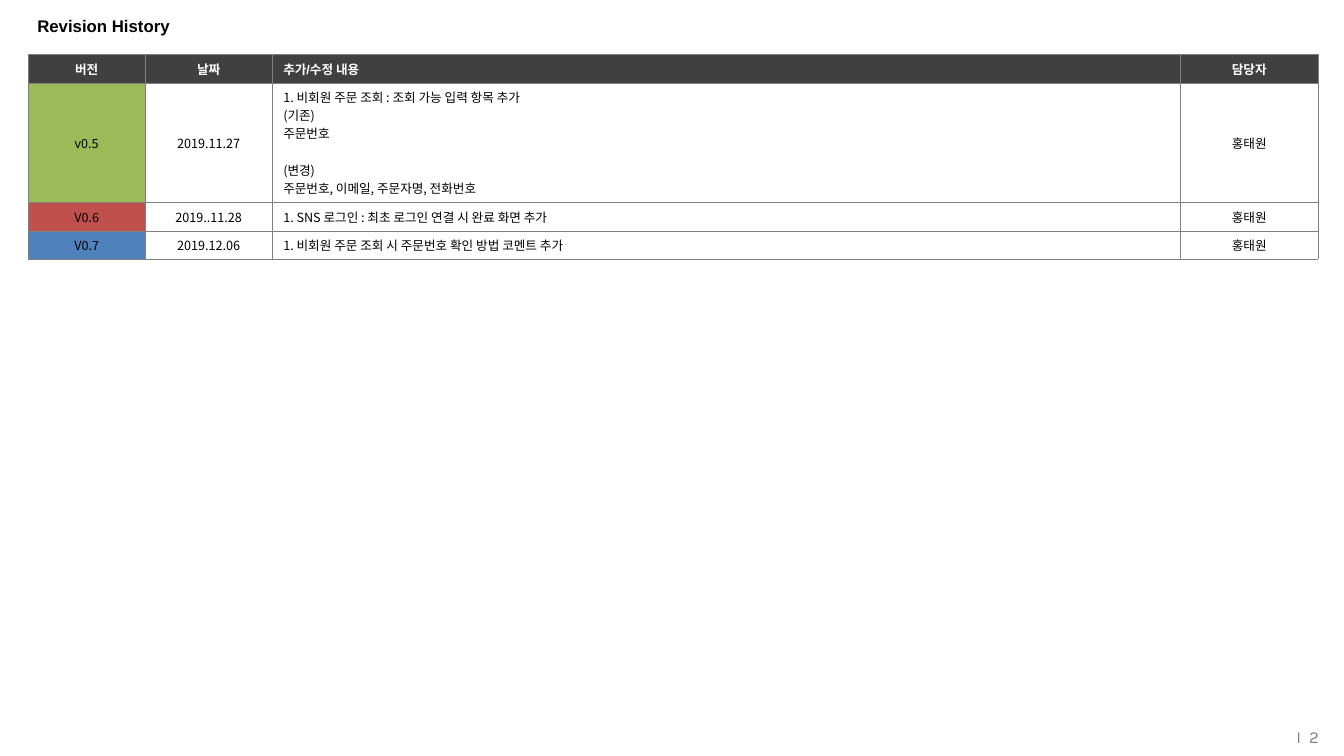
from dataclasses import dataclass

from lxml.etree import SubElement
from pptx import Presentation
from pptx.dml.color import RGBColor as RGB
from pptx.enum.text import MSO_ANCHOR as Anchor, PP_ALIGN as Align
from pptx.oxml.ns import qn
from pptx.util import Inches, Pt

TITLE = "Revision History"
PAGE = "I  2"
HEADER = ("버전", "날짜", "추가/수정 내용", "담당자")
# version, date, blocks of change lines, person in charge
REVISIONS = [
    ("v0.5", "2019.11.27",
     [["1. 비회원 주문 조회 : 조회 가능 입력 항목 추가", "(기존)", "주문번호"],
      ["(변경)", "주문번호, 이메일, 주문자명, 전화번호"]], "홍태원"),
    ("V0.6", "2019..11.28",
     [["1. SNS 로그인 : 최초 로그인 연결 시 완료 화면 추가"]], "홍태원"),
    ("V0.7", "2019.12.06",
     [["1. 비회원 주문 조회 시 주문번호 확인 방법 코멘트 추가"]], "홍태원"),
]
COLUMNS = (1.16, 1.26, 9.01, 1.36)
ROWS = (0.28, 1.19, 0.28, 0.28)
LEFT, TABLE_TOP, WIDTH = 0.28, 0.54, sum(COLUMNS)
CHANGES = 2  # the left-aligned column


@dataclass(frozen=True)
class Theme:
    latin: str = "Arial"
    korean: str = "Noto Sans CJK KR"
    page_font: str = "Karla"
    black: str = "000000"
    white: str = "FFFFFF"
    grey: str = "808080"
    header: str = "404040"
    versions: tuple = ("9BBB59", "C0504D", "4F81BD")
    large: float = 12
    small: float = 9
    block_gap: float = 13.1
    border: float = 0.25


T = Theme()


def style(p, font, size, color, bold=False, align=Align.LEFT):
    p.alignment = align
    for r in p.runs:
        r.font.name, r.font.size, r.font.bold = font, Pt(size), bold
        r.font.color.rgb = RGB.from_string(color)
        SubElement(r.font._element, qn("a:ea"), typeface=T.korean)


def add_borders(cell):
    tcPr = cell._tc.get_or_add_tcPr()
    for side in ("lnL", "lnR", "lnT", "lnB"):
        ln = SubElement(tcPr, qn(f"a:{side}"), w=str(Pt(T.border)))
        fill = SubElement(ln, qn("a:solidFill"))
        SubElement(fill, qn("a:srgbClr"), val=T.grey)


def fill_cell(cell, blocks, fill, font, color, bold, align):
    """Write blocks of lines, set apart by paragraph spacing."""
    add_borders(cell)
    if fill:
        cell.fill.solid()
        cell.fill.fore_color.rgb = RGB.from_string(fill)
    else:
        cell.fill.background()
    cell.vertical_anchor = Anchor.MIDDLE
    cell.margin_left = cell.margin_right = Inches(0.11)
    cell.margin_top = cell.margin_bottom = Inches(0.05)
    tf = cell.text_frame
    tf.text = "\n".join(line for block in blocks for line in block)
    for p in tf.paragraphs:
        style(p, font, T.small, color, bold, align)
    start = 0
    for block in blocks[:-1]:
        start += len(block)
        tf.paragraphs[start].space_before = Pt(T.block_gap)


def add_title(s):
    sp = s.shapes.title
    sp.left, sp.top = Inches(0.27), Inches(0.07)
    sp.width, sp.height = Inches(WIDTH), Inches(0.38)
    tf = sp.text_frame
    tf.text = TITLE
    tf.vertical_anchor = Anchor.MIDDLE
    style(tf.paragraphs[0], T.latin, T.large, T.black, bold=True)


def add_revision_table(s):
    table = s.shapes.add_table(
        len(ROWS), len(COLUMNS), Inches(LEFT), Inches(TABLE_TOP),
        Inches(WIDTH), Inches(sum(ROWS))).table
    table.first_row = table.horz_banding = False
    for column, width in zip(table.columns, COLUMNS):
        column.width = Inches(width)
    for row, height in zip(table.rows, ROWS):
        row.height = Inches(height)
    for i, record in enumerate([HEADER, *REVISIONS]):
        for j, value in enumerate(record):
            blocks = [[value]] if isinstance(value, str) else value
            align = Align.LEFT if j == CHANGES else Align.CENTER
            if i == 0:
                look = (T.header, T.latin, T.white, True)
            else:
                fill = T.versions[i - 1] if j == 0 else None
                look = (fill, T.korean, T.black, False)
            fill_cell(table.cell(i, j), blocks, *look, align)


def add_page_number(s):
    tf = s.shapes.add_textbox(Inches(11.15), Inches(7.11),
                              Inches(1.93), Inches(0.39)).text_frame
    tf.word_wrap = True
    tf.margin_left = tf.margin_right = tf.margin_top = tf.margin_bottom = 0
    tf.vertical_anchor = Anchor.MIDDLE
    tf.text = PAGE
    style(tf.paragraphs[0], T.page_font, T.large, T.grey, align=Align.RIGHT)


def main():
    prs = Presentation()
    prs.slide_width, prs.slide_height = Inches(13.33), Inches(7.5)
    s = prs.slides.add_slide(prs.slide_layouts[5])
    add_page_number(s)
    add_revision_table(s)
    add_title(s)
    prs.save("out.pptx")


if __name__ == "__main__":
    main()
